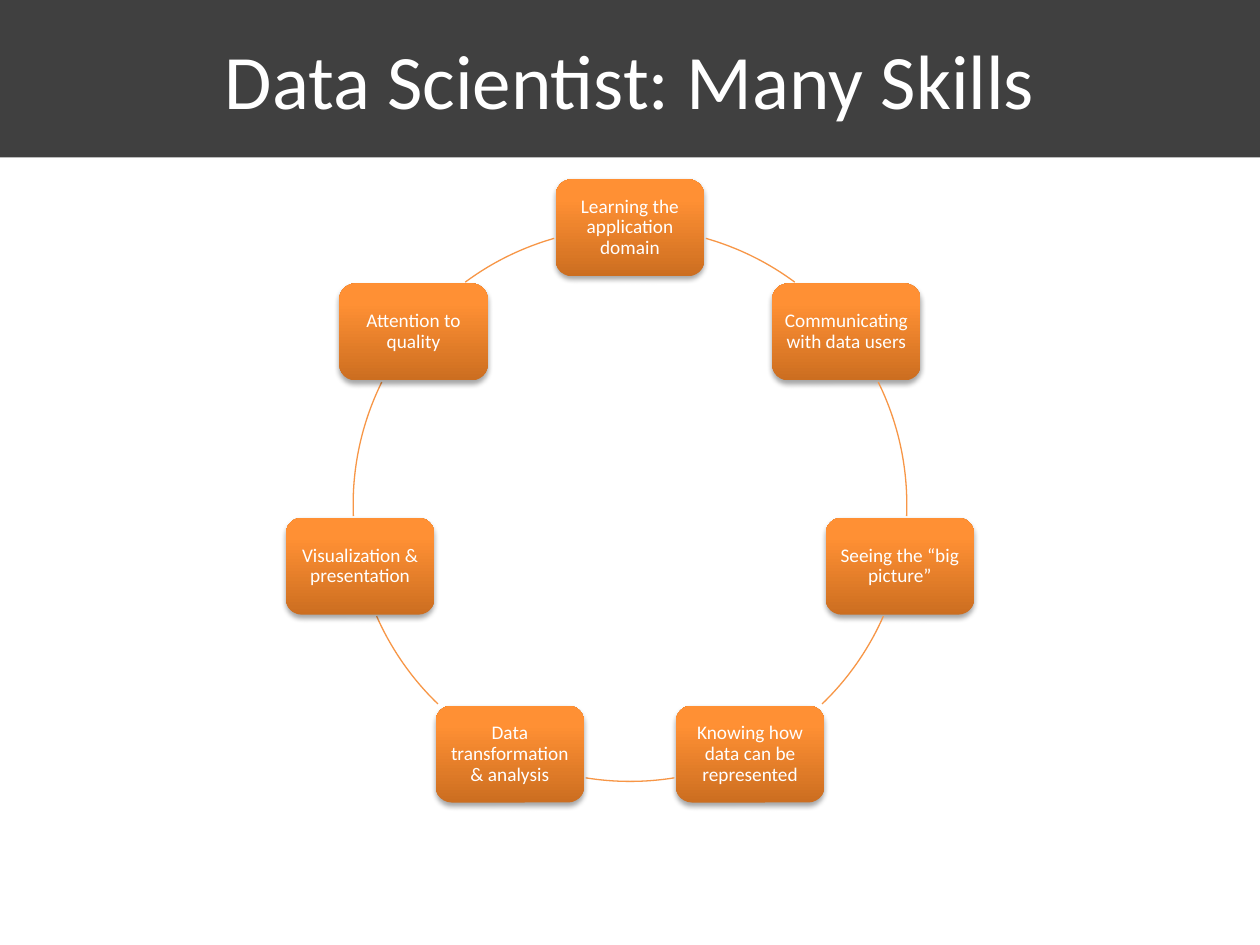
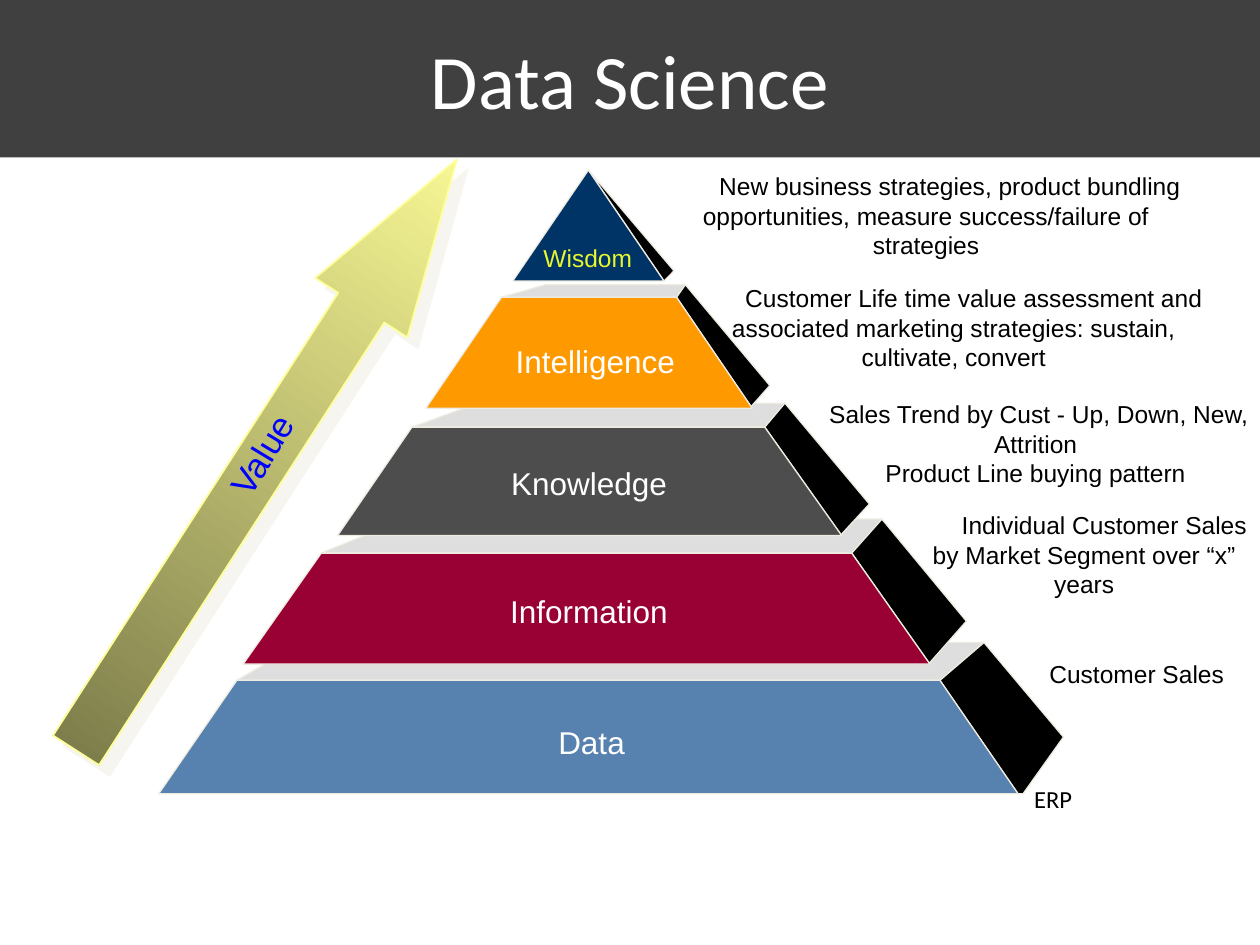
from dataclasses import dataclass
from math import cos, radians, sin
from typing import NamedTuple

from pptx import Presentation
from pptx.dml.color import RGBColor
from pptx.enum.shapes import MSO_SHAPE
from pptx.enum.text import MSO_ANCHOR, PP_ALIGN
from pptx.oxml.ns import qn
from pptx.oxml.xmlchemy import OxmlElement
from pptx.util import Emu, Inches, Pt

# Grid: 100 columns by 75 rows of square cells
COLUMNS, ROWS = 100, 75
CELL = Inches(0.1)

WHITE, BLACK = "FFFFFF", "000000"
BAND = "404040"
RING = "F79646"
EDGE = "EEECE1"
SHELF = "BFBFBF"
VALUE_EDGE = "FFFF99"
HEADING_FONT, PYRAMID_FONT = "Calibri", "Arial"
NODE_STOPS = ((0, "CC6E20"), (80, "FF9034"), (100, "FF9136"))
VALUE_STOPS = ((0, VALUE_EDGE), (100, "767647"))

Point = tuple[float, float]


class Box(NamedTuple):
    """Left, top, width and height in grid cells."""
    left: float
    top: float
    width: float
    height: float

    def emu(self) -> list[Emu]:
        return [cells(length) for length in self]


class TextStyle(NamedTuple):
    size: float
    color: str
    font: str = PYRAMID_FONT
    align: PP_ALIGN = PP_ALIGN.CENTER


class Shadow(NamedTuple):
    color: str
    alpha: int
    blur: float
    distance: float
    angle: int


@dataclass
class Tier:
    name: str
    color: str
    style: TextStyle
    label: Box
    top: float
    bottom: float
    top_edge: Point      # left and right ends
    base_edge: Point
    foot: float          # where the side face leaves the ground
    back_top: Point
    back_base: Point
    shelf_left: float


@dataclass
class Note:
    lines: list[str]
    box: Box
    indent: float
    align: PP_ALIGN = PP_ALIGN.CENTER


# Content
SKILLS = [
    "Learning the application domain",
    "Communicating with data users",
    "Seeing the “big picture”",
    "Knowing how data can be represented",
    "Data transformation & analysis",
    "Visualization & presentation",
    "Attention to quality",
]
TIER_STYLE = TextStyle(18, WHITE)
TIERS = [
    Tier("Data", "5781AE", TIER_STYLE, Box(20.6, 57.8, 52.7, 2.1), 54, 63,
         (18.8, 74.6), (12.6, 80.8), 81.2, (78.1, 51), (84.4, 58.5), 24),
    Tier("Information", "990033", TIER_STYLE, Box(26.1, 47.4, 41.3, 2.1), 43.9, 52.7,
         (25.5, 67.6), (19.3, 73.8), 73.7, (70.0, 41.2), (76.7, 49.3), 32.1),
    Tier("Knowledge", "4D4D4D", TIER_STYLE, Box(32.5, 37.3, 28.5, 2.1), 33.9, 42.5,
         (32.7, 60.7), (26.8, 66.8), 66.7, (62.3, 32), (69, 40), 37.9),
    Tier("Intelligence", "FF9900", TIER_STYLE, Box(39.8, 27.6, 14.9, 2.1), 23.6, 32.4,
         (39.8, 53.7), (33.8, 59.7), 59.5, (54.4, 22.6), (61.1, 30.6), 43.3),
    Tier("Wisdom", "003366", TextStyle(14, "E8F62E"), Box(42.4, 19.1, 8.5, 2.7), 13.5, 22.3,
         (46.7, 46.7), (40.7, 52.7), 52.7, (46.7, 13.5), (53.5, 21.5), 46.7),
]
NOTES = [
    Note(["New business strategies, product bundling opportunities, "
          "measure success/failure of strategies"], Box(50.8, 13.1, 45.4, 8), 3.8),
    Note(["Customer Life time value assessment and associated marketing "
          "strategies: sustain, cultivate, convert"], Box(54.8, 22, 41.8, 8), 3.2),
    Note(["Sales Trend by Cust - Up, Down, New, Attrition",
          "Product Line buying pattern"], Box(63.5, 31.2, 37.4, 8), 0.5),
    Note(["Individual Customer Sales by Market Segment over “x” years"],
         Box(71.3, 40, 29.5, 8), 3.2),
    Note(["Customer Sales"], Box(80.1, 51.8, 19.9, 3.3), 2.2, PP_ALIGN.LEFT),
]


# Helpers
def cells(count: float) -> Emu:
    return Emu(round(CELL * count))


def rgb(color: str) -> RGBColor:
    return RGBColor.from_string(color)


def child(parent, tag: str, **attributes):
    element = OxmlElement(tag)
    for key, value in attributes.items():
        element.set(key, str(value))
    parent.append(element)
    return element


def set_fill(shape, color: str, alpha: int = 100) -> None:
    shape.fill.solid()
    shape.fill.fore_color.rgb = rgb(color)
    if alpha < 100:
        srgb = shape._element.spPr.find(qn("a:solidFill")).find(qn("a:srgbClr"))
        child(srgb, "a:alpha", val=alpha * 1000)


def set_gradient(shape, stops, angle: int) -> None:
    shape.fill.gradient()
    shape.fill.gradient_angle = angle
    stop_list = shape._element.spPr.find(qn("a:gradFill")).find(qn("a:gsLst"))
    for old_stop in list(stop_list):
        stop_list.remove(old_stop)
    for position, color in stops:
        stop = child(stop_list, "a:gs", pos=position * 1000)
        child(stop, "a:srgbClr", val=color)


def set_line(shape, color: str, width: float) -> None:
    shape.line.color.rgb = rgb(color)
    shape.line.width = Pt(width)


def set_shadow(shape, shadow: Shadow) -> None:
    shape.shadow.inherit = False
    effects = shape._element.spPr.find(qn("a:effectLst"))
    outer = child(effects, "a:outerShdw", blurRad=Pt(shadow.blur), dist=Pt(shadow.distance),
                  dir=shadow.angle * 60000, rotWithShape=0)
    srgb = child(outer, "a:srgbClr", val=shadow.color)
    child(srgb, "a:alpha", val=shadow.alpha * 1000)


def set_text(shape, text: str, style: TextStyle) -> None:
    shape.text_frame.text = text
    for paragraph in shape.text_frame.paragraphs:
        paragraph.alignment = style.align
        for run in paragraph.runs:
            run.font.size = Pt(style.size)
            run.font.name = style.font
            run.font.color.rgb = rgb(style.color)


def set_margins(frame, sides: float) -> None:
    frame.margin_left = frame.margin_right = cells(sides)
    frame.margin_top = frame.margin_bottom = cells(sides)


def add_text(slide, box: Box, text: str, style: TextStyle, wrap: bool = True):
    textbox = slide.shapes.add_textbox(*box.emu())
    textbox.text_frame.word_wrap = wrap
    set_text(textbox, text, style)
    return textbox


def add_face(slide, corners: list[Point], color: str, alpha: int = 100) -> None:
    start, *rest = [(cells(x), cells(y)) for x, y in corners]
    builder = slide.shapes.build_freeform(*start)
    builder.add_line_segments(rest, close=True)
    face = builder.convert_to_shape()
    set_fill(face, color, alpha)
    set_line(face, EDGE, 0.75)
    face.shadow.inherit = False


def add_titled_slide(deck, heading: str):
    slide = deck.slides.add_slide(deck.slide_layouts[5])
    title = slide.shapes.title
    title.left, title.top, title.width, title.height = Box(0, 0, COLUMNS, ROWS / 6).emu()
    set_fill(title, BAND)
    set_text(title, heading, TextStyle(44, WHITE, HEADING_FONT))
    title.text_frame.vertical_anchor = MSO_ANCHOR.MIDDLE
    return slide


# Ring of skills
CENTER_X, CENTER_Y, RADIUS = 50, 40.05, 21.97
NODE_WIDTH, NODE_HEIGHT, NODE_GAP = 11.8, 7.7, 0.1


def ring_point(angle: float) -> Point:
    return (CENTER_X + RADIUS * cos(radians(angle)), CENTER_Y + RADIUS * sin(radians(angle)))


def leave_node(angle: float, step: float) -> float:
    """Follow the ring from a node's centre until it clears the node."""
    node_x, node_y = ring_point(angle)
    x, y = node_x, node_y
    while (abs(x - node_x) < NODE_WIDTH / 2 + NODE_GAP
           and abs(y - node_y) < NODE_HEIGHT / 2 + NODE_GAP):
        angle += step
        x, y = ring_point(angle)
    return angle


def add_skill(slide, skill: str, angle: float) -> None:
    x, y = ring_point(angle)
    box = Box(x - NODE_WIDTH / 2, y - NODE_HEIGHT / 2, NODE_WIDTH, NODE_HEIGHT)
    node = slide.shapes.add_shape(MSO_SHAPE.ROUNDED_RECTANGLE, *box.emu())
    set_gradient(node, NODE_STOPS, 90)
    node.line.fill.background()
    set_shadow(node, Shadow(BLACK, 35, 3.1, 1.8, 90))
    set_text(node, skill, TextStyle(11, WHITE, HEADING_FONT))
    set_margins(node.text_frame, 0.5)
    node.text_frame.word_wrap = True
    node.text_frame.vertical_anchor = MSO_ANCHOR.MIDDLE
    node.text_frame.paragraphs[0].line_spacing = 0.9


def add_ring_arc(slide, start: float, end: float) -> None:
    box = Box(CENTER_X - RADIUS, CENTER_Y - RADIUS, 2 * RADIUS, 2 * RADIUS)
    arc = slide.shapes.add_shape(MSO_SHAPE.ARC, *box.emu())
    for index, angle in enumerate((start, end)):
        arc.adjustments[index] = angle % 360 * 0.6  # 60000ths of a degree over 100000
    arc.fill.background()
    set_line(arc, RING, 0.75)
    arc.shadow.inherit = False


def build_skills(deck) -> None:
    slide = add_titled_slide(deck, "Data Scientist: Many Skills")
    turn = 360 / len(SKILLS)
    for index, skill in enumerate(SKILLS):
        angle = index * turn - 90
        add_skill(slide, skill, angle)
        add_ring_arc(slide, leave_node(angle, 0.1), leave_node(angle + turn, -0.1))


# Value pyramid
def add_tier(slide, tier: Tier) -> None:
    (top_left, top_right), (base_left, base_right) = tier.top_edge, tier.base_edge
    front_top = [(top_right, tier.top), (top_left, tier.top)]
    if top_left < top_right:
        add_face(slide, front_top + [(tier.shelf_left, tier.back_top[1]), tier.back_top],
                 SHELF, 50)
    add_face(slide, [(base_right, tier.bottom), front_top[0], tier.back_top,
                     tier.back_base, (tier.foot, tier.bottom)], BLACK)
    add_face(slide, [(base_left, tier.bottom), (base_right, tier.bottom)] + front_top,
             tier.color)
    label = add_text(slide, tier.label, tier.name, tier.style)
    set_margins(label.text_frame, 0)
    label.text_frame.vertical_anchor = MSO_ANCHOR.MIDDLE


def add_note(slide, note: Note) -> None:
    textbox = add_text(slide, note.box, "\n".join(note.lines),
                       TextStyle(14, BLACK, align=note.align))
    properties = textbox.text_frame.paragraphs[0]._p.get_or_add_pPr()
    properties.set("marL", "0")
    properties.set("indent", str(cells(note.indent)))


def add_value_arrow(slide) -> None:
    arrow = slide.shapes.add_shape(MSO_SHAPE.UP_ARROW, *Box(16.8, 8.2, 8.7, 55.8).emu())
    arrow.rotation = 32.8
    arrow.adjustments[0], arrow.adjustments[1] = 0.5, 1.61
    set_gradient(arrow, VALUE_STOPS, 270)
    set_line(arrow, VALUE_EDGE, 1)
    set_shadow(arrow, Shadow(EDGE, 50, 0, 8.5, 45))
    value = add_text(slide, Box(16, 33.9, 9.4, 4.3), "Value", TextStyle(20, "0000FF"), wrap=False)
    value.rotation = 301.1


def build_pyramid(deck) -> None:
    slide = add_titled_slide(deck, "Data Science")
    for tier in TIERS:
        add_tier(slide, tier)
    for note in NOTES:
        add_note(slide, note)
    add_value_arrow(slide)
    add_text(slide, Box(81.1, 61.7, 6.3, 3.3), "ERP",
             TextStyle(14, BLACK, HEADING_FONT, PP_ALIGN.LEFT))


def main() -> None:
    deck = Presentation()
    deck.slide_width, deck.slide_height = cells(COLUMNS), cells(ROWS)
    build_skills(deck)
    build_pyramid(deck)
    deck.save("out.pptx")


if __name__ == "__main__":
    main()
